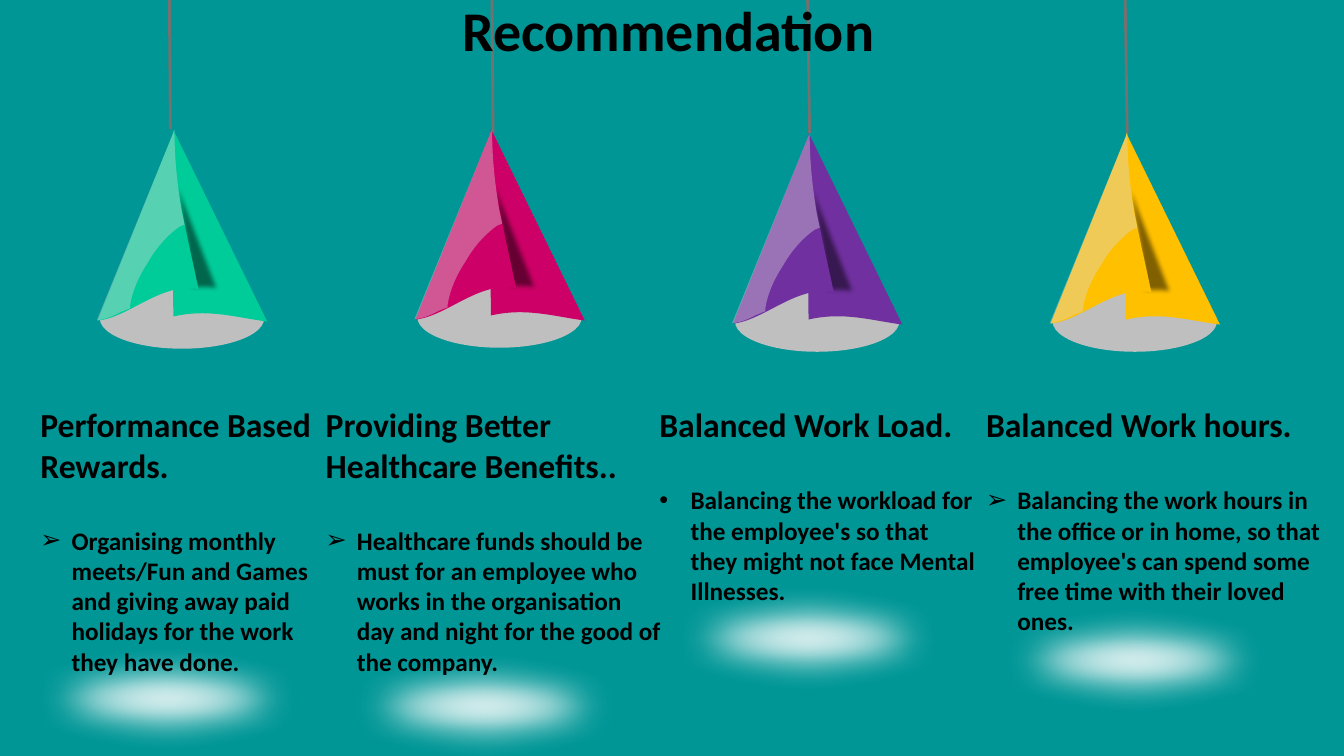
from dataclasses import dataclass
from math import cos, radians, sin

from lxml.etree import SubElement
from pptx import Presentation
from pptx.dml.color import RGBColor as Rgb
from pptx.enum.shapes import MSO_CONNECTOR as Connector, MSO_SHAPE as Preset
from pptx.enum.text import MSO_ANCHOR as Anchor, MSO_AUTO_SIZE as AutoSize, PP_ALIGN as Align
from pptx.oxml.ns import qn
from pptx.util import Inches, Pt

# Grid: 1333 columns by 750 rows of square cells
COLUMNS, ROWS = 1333, 750
CELL = Inches(0.01)


@dataclass(frozen=True)
class Theme:
    font: str = "Calibri"
    background: str = "009696"
    ink: str = "000000"
    wire: str = "767171"
    rim: str = "BFBFBF"
    sheen: str = "D9D9D9"
    light: str = "FFFFFF"
    title: int = 40
    heading: int = 24
    body: int = 18
    gap: float = 28.7


# Lamp outlines as (column, row) offsets from the tip: two numbers
# draw a straight side, six numbers draw a cubic curve
RIGHT_HALF = [(-1, 185), (-2, 126, -1, 59, -1, 0), (92, 190),
              (61, 186, 34, 177, -1, 185)]
SHADE = [(13, 162), (13, 125, -7, 49, -7, 13), (51, 164),
         (39, 162, 28, 157, 13, 162)]
LEFT_HALF = [(24, 158), (12, 101, 0, 59, 0, 0), (-76, 189),
             (-45, 186, -12, 150, 24, 158)]
SHEEN = [(0, 0), (0, 30, 3, 55, 7, 80), (10, 94), (5, 96),
         (-5, 103, -17, 115, -26, 131), (-36, 146, -42, 161, -44, 174),
         (-44, 177), (-54, 181), (-61, 185, -69, 188, -77, 189), (0, 0)]
SHEEN_TILT, SHEEN_CENTRE = 32.2, (-29, 100.5)


@dataclass(frozen=True)
class Lamp:
    tip: tuple
    colour: str
    wire: tuple  # lower column, upper column, lower row
    glow: tuple  # column, row
    pool: tuple  # column, row
    text: tuple  # column, row, columns, rows
    bullet: str
    heading: str
    advice: str


LAMPS = [
    Lamp((173, 129), "00CC99", (169, 168, 128), (120, 263), (-11, 637),
         (30, 396, 290, 283), "➢", "Performance Based Rewards.",
         "Organising monthly meets/Fun and Games and giving away paid "
         "holidays for the work they have done."),
    Lamp((488, 128), "CC0066", (489, 488, 132), (429, 271), (303, 644),
         (313, 396, 354, 283), "➢", "Providing Better Healthcare Benefits..",
         "Healthcare funds should be must for an employee who works in the "
         "organisation day and night for the good of the company."),
    Lamp((803, 132), "7030A0", (803, 801, 132), (754, 270), (624, 577),
         (644, 396, 333, 293), "•", "Balanced Work Load.",
         "Balancing the workload for the employee's so that they might not "
         "face Mental Illnesses."),
    Lamp((1118, 132), "FFC000", (1118, 1116, 132), (1071, 270), (949, 599),
         (968, 396, 359, 242), "➢", "Balanced Work hours.",
         "Balancing the work hours in the office or in home, so that "
         "employee's can spend some free time with their loved ones."),
]


def turn(point, centre, degrees):
    angle = radians(degrees)
    x, y = point[0] - centre[0], point[1] - centre[1]
    return (centre[0] + x * cos(angle) - y * sin(angle),
            centre[1] + x * sin(angle) + y * cos(angle))


def bend_sides(shape, sides):
    """Replace the straight sides that stand for curves."""
    left = min(side[-1][0] for side in sides)
    top = min(side[-1][1] for side in sides)
    route = shape._element.find(".//" + qn("a:path"))
    for side, step in zip(sides, list(route)):
        if len(side) == 3:
            step.tag = qn("a:cubicBezTo")
            step.clear()
            for x, y in side:
                SubElement(step, qn("a:pt"), x=str(x - left), y=str(y - top))


def write(para, text, font, size, colour, bold=True):
    span = para.add_run()
    span.text = text
    span.font.name, span.font.size, span.font.bold = font, Pt(size), bold
    span.font.color.rgb = Rgb.from_string(colour)


class Painter:
    def __init__(self, page, theme):
        self.page, self.theme = page, theme
        fill = page.background.fill
        fill.solid()
        fill.fore_color.rgb = Rgb.from_string(theme.background)

    def finish(self, shape, colour, alpha=None, soft=0):
        shape.fill.solid()
        shape.fill.fore_color.rgb = Rgb.from_string(colour)
        shape.line.fill.background()
        shape.shadow.inherit = False
        properties = shape._element.spPr
        if alpha:
            tint = properties.find(qn("a:solidFill")).find(qn("a:srgbClr"))
            SubElement(tint, qn("a:alpha"), val=str(alpha * 1000))
        if soft:
            effects = properties.find(qn("a:effectLst"))
            SubElement(effects, qn("a:softEdge"), rad=str(soft * CELL))

    def ellipse(self, area, colour, soft=0):
        shape = self.page.shapes.add_shape(
            Preset.OVAL, *(value * CELL for value in area))
        self.finish(shape, colour, soft=soft)

    def outline(self, outline, tip, colour, alpha=None, soft=0,
                tilt=0, centre=(0, 0)):
        def place(point):
            x, y = turn(point, centre, -tilt)
            return round((tip[0] + x) * CELL), round((tip[1] + y) * CELL)

        sides = [[place(pair) for pair in zip(side[::2], side[1::2])]
                 for side in outline]
        corners = [side[-1] for side in sides]
        builder = self.page.shapes.build_freeform(*corners[0])
        builder.add_line_segments(corners[1:], close=True)
        shape = builder.convert_to_shape()
        bend_sides(shape, sides)
        shape.rotation = tilt
        self.finish(shape, colour, alpha, soft)

    def wire(self, low, high, row):
        line = self.page.shapes.add_connector(
            Connector.STRAIGHT, low * CELL, row * CELL, high * CELL, 0)
        line.line.color.rgb = Rgb.from_string(self.theme.wire)
        line.line.width = Pt(2)
        SubElement(line._element.spPr, qn("a:effectLst"))

    def placeholder(self, box, area):
        """Move a placeholder to its cells and to the front."""
        box.left, box.top, box.width, box.height = (v * CELL for v in area)
        box._element.getparent().append(box._element)
        frame = box.text_frame
        frame.word_wrap, frame.auto_size = True, AutoSize.NONE
        frame.vertical_anchor = Anchor.TOP
        frame.margin_left = frame.margin_right = Inches(0.1)
        frame.margin_top = frame.margin_bottom = Inches(0.05)
        return frame

    def paragraph(self, para, text, size, before=0, bullet=None):
        indent = Inches(0.31) if bullet else 0
        properties = para._p.get_or_add_pPr()
        properties.set("marL", str(indent))
        properties.set("indent", str(-indent))
        if bullet:
            SubElement(properties, qn("a:buFont"), typeface="Arial")
            SubElement(properties, qn("a:buChar"), char=bullet)
        else:
            SubElement(properties, qn("a:buNone"))
        para.alignment = Align.LEFT
        para.space_before = Pt(before)
        write(para, text, font=self.theme.font, size=size, colour=self.theme.ink)

    def lamp(self, lamp):
        theme, (column, row) = self.theme, lamp.tip
        self.ellipse((column - 74, row + 157, 163, 60), theme.rim)
        self.outline(RIGHT_HALF, lamp.tip, lamp.colour)
        self.outline(SHADE, lamp.tip, theme.ink, alpha=50, soft=5)
        self.outline(LEFT_HALF, lamp.tip, lamp.colour)
        self.outline(SHEEN, lamp.tip, theme.sheen, alpha=40,
                     tilt=SHEEN_TILT, centre=SHEEN_CENTRE)
        self.ellipse((*lamp.glow, 110, 117), theme.light, soft=44)
        self.ellipse((*lamp.pool, 354, 112), theme.light, soft=35)


def main():
    deck = Presentation()
    deck.slide_width, deck.slide_height = COLUMNS * CELL, ROWS * CELL
    page = deck.slides.add_slide(deck.slide_layouts.get_by_name("Comparison"))
    theme = Theme()
    painter = Painter(page, theme)
    title, *bodies = list(page.placeholders)[:5]

    # Wires hang behind the title
    for lamp in LAMPS:
        painter.wire(*lamp.wire)
    frame = painter.placeholder(title, (449, -9, 495, 77))
    painter.paragraph(frame.paragraphs[0], "Recommendation", theme.title)

    # Lamps with their light
    for lamp in LAMPS:
        painter.lamp(lamp)

    # Recommendations under the lamps
    for lamp, body in zip(LAMPS, bodies):
        frame = painter.placeholder(body, lamp.text)
        painter.paragraph(frame.paragraphs[0], lamp.heading, theme.heading)
        painter.paragraph(frame.add_paragraph(), lamp.advice, theme.body,
                          before=theme.gap, bullet=lamp.bullet)

    deck.save("out.pptx")


if __name__ == "__main__":
    main()
